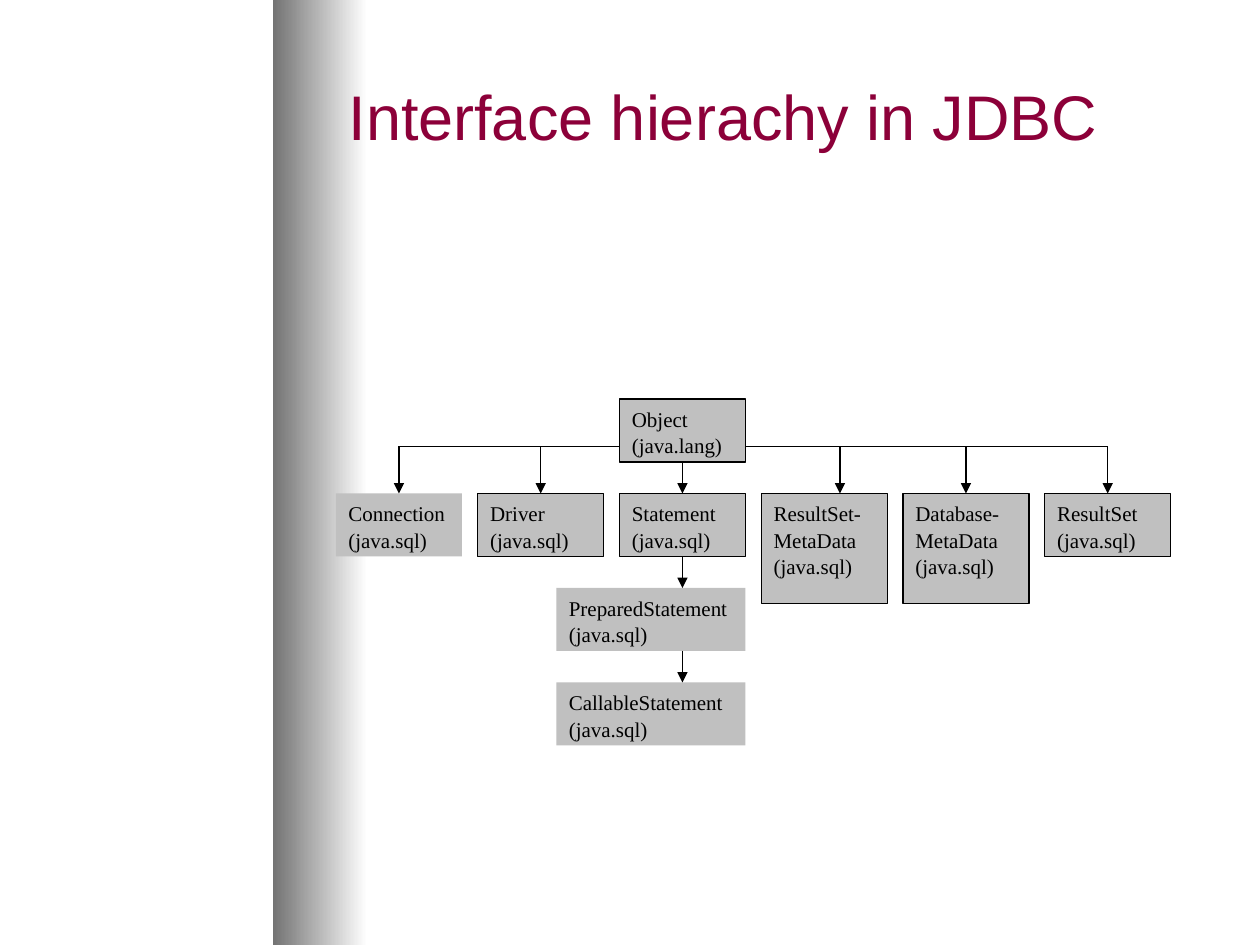
import pptx
import pptx.dml.color
import pptx.enum.shapes
import pptx.enum.text
import pptx.util
import lxml.etree
from dataclasses import dataclass
from pptx.oxml.ns import qn

PX = 9525  # EMU in one px, 96 px to the inch


@dataclass(frozen=True)
class Theme:
    title: str = "8C0039"
    ink: str = "000000"
    box: str = "C0C0C0"
    light: str = "FFFFFF"
    dark: str = "737373"
    title_font: str = "Arial"
    label_font: str = "Times New Roman"
    title_size: int = 36
    label_size: int = 12
    line_width: float = 0.75
    line_spacing: float = 1.05


THEME = Theme()


def rgb(value):
    return pptx.dml.color.RGBColor.from_string(value)


def add_run(p, text, font, size, color):
    r = p.add_run()
    r.text = text
    r.font.name = font
    r.font.size = pptx.util.Pt(size)
    r.font.color.rgb = rgb(color)


def add_rect(s, x, y, w, h):
    sp = s.shapes.add_shape(pptx.enum.shapes.MSO_SHAPE.RECTANGLE,
                            x * PX, y * PX, w * PX, h * PX)
    sp.shadow.inherit = False
    sp.line.fill.background()
    return sp


def add_band(s, x, y, w, h):
    """Shaded vertical band, behind the title."""
    sp = add_rect(s, x, y, w, h)
    sp.fill.gradient()
    sp.fill.gradient_angle = 180
    for stop, color in zip(sp.fill.gradient_stops, (THEME.light, THEME.dark)):
        stop.color.rgb = rgb(color)
    s.shapes.title.element.addprevious(sp.element)


def add_title(s, text, x, y, w, h):
    sp = s.shapes.title
    sp.left, sp.top, sp.width, sp.height = x * PX, y * PX, w * PX, h * PX
    tf = sp.text_frame
    tf.word_wrap = True
    tf.vertical_anchor = pptx.enum.text.MSO_ANCHOR.MIDDLE
    p = tf.paragraphs[0]
    p.alignment = pptx.enum.text.PP_ALIGN.LEFT
    add_run(p, text, THEME.title_font, THEME.title_size, THEME.title)


def add_box(s, lines, x, y, w=96, h=48, outlined=True):
    """Interface box with one paragraph per line."""
    sp = add_rect(s, x, y, w, h)
    sp.fill.solid()
    sp.fill.fore_color.rgb = rgb(THEME.box)
    if outlined:
        sp.line.color.rgb = rgb(THEME.ink)
        sp.line.width = pptx.util.Pt(THEME.line_width)
    tf = sp.text_frame
    tf.word_wrap = True
    tf.vertical_anchor = pptx.enum.text.MSO_ANCHOR.TOP
    for i, line in enumerate(lines):
        p = tf.add_paragraph() if i else tf.paragraphs[0]
        p.alignment = pptx.enum.text.PP_ALIGN.LEFT
        p.line_spacing = THEME.line_spacing
        add_run(p, line, THEME.label_font, THEME.label_size, THEME.ink)


def add_line(s, x1, y1, x2, y2, arrow=False):
    c = s.shapes.add_connector(pptx.enum.shapes.MSO_CONNECTOR.STRAIGHT,
                               x1 * PX, y1 * PX, x2 * PX, y2 * PX)
    c.line.color.rgb = rgb(THEME.ink)
    c.line.width = pptx.util.Pt(THEME.line_width)
    if arrow:
        lxml.etree.SubElement(c.line._get_or_add_ln(), qn("a:tailEnd"), type="triangle")
    lxml.etree.SubElement(c.element.spPr, qn("a:effectLst"))


def add_hierarchy(s, x, y):
    """Tree of interfaces, with its top left corner at x, y."""
    step, box_w, box_h, row = 108, 96, 48, 72
    package = "(java.sql)"
    children = [
        ["Connection"], ["Driver"], ["Statement"],
        ["ResultSet-", "MetaData"], ["Database-", "MetaData"], ["ResultSet"],
    ]
    root_x = x + 2 * step
    root_right = root_x + box_w
    trunk = root_x + box_w // 2
    bus = y + 36

    # Root and its direct children
    add_box(s, ["Object", "(java.lang)"], root_x, y)
    for i, name in enumerate(children):
        add_box(s, name + [package], x + i * step, y + row,
                h=box_h if len(name) == 1 else 84, outlined=i > 0)

    # Statement's descendants
    for i, name in enumerate(["PreparedStatement", "CallableStatement"], 2):
        add_box(s, [name, package], root_x - 48, y + i * row, w=144, outlined=False)

    # Horizontal bus and its drops
    drops = [x + dx for dx in (48, 156, 384, 480, 588)]
    for x1, x2 in [(root_x, drops[0]), (root_right, drops[3]), (drops[3], drops[4])]:
        add_line(s, x1, bus, x2, bus)
    for drop in drops:
        add_line(s, drop, bus, drop, y + row, arrow=True)

    # Arrows down the trunk
    for i in range(3):
        add_line(s, trunk, y + i * row + box_h, trunk, y + (i + 1) * row, arrow=True)


def main():
    prs = pptx.Presentation()
    prs.slide_width, prs.slide_height = 960 * PX, 720 * PX
    s = prs.slides.add_slide(prs.slide_layouts[5])
    add_band(s, 208, 0, 72, 720)
    add_title(s, "Interface hierachy in JDBC", 256, 24, 672, 128)
    add_hierarchy(s, 256, 304)
    prs.save("out.pptx")


if __name__ == "__main__":
    main()
